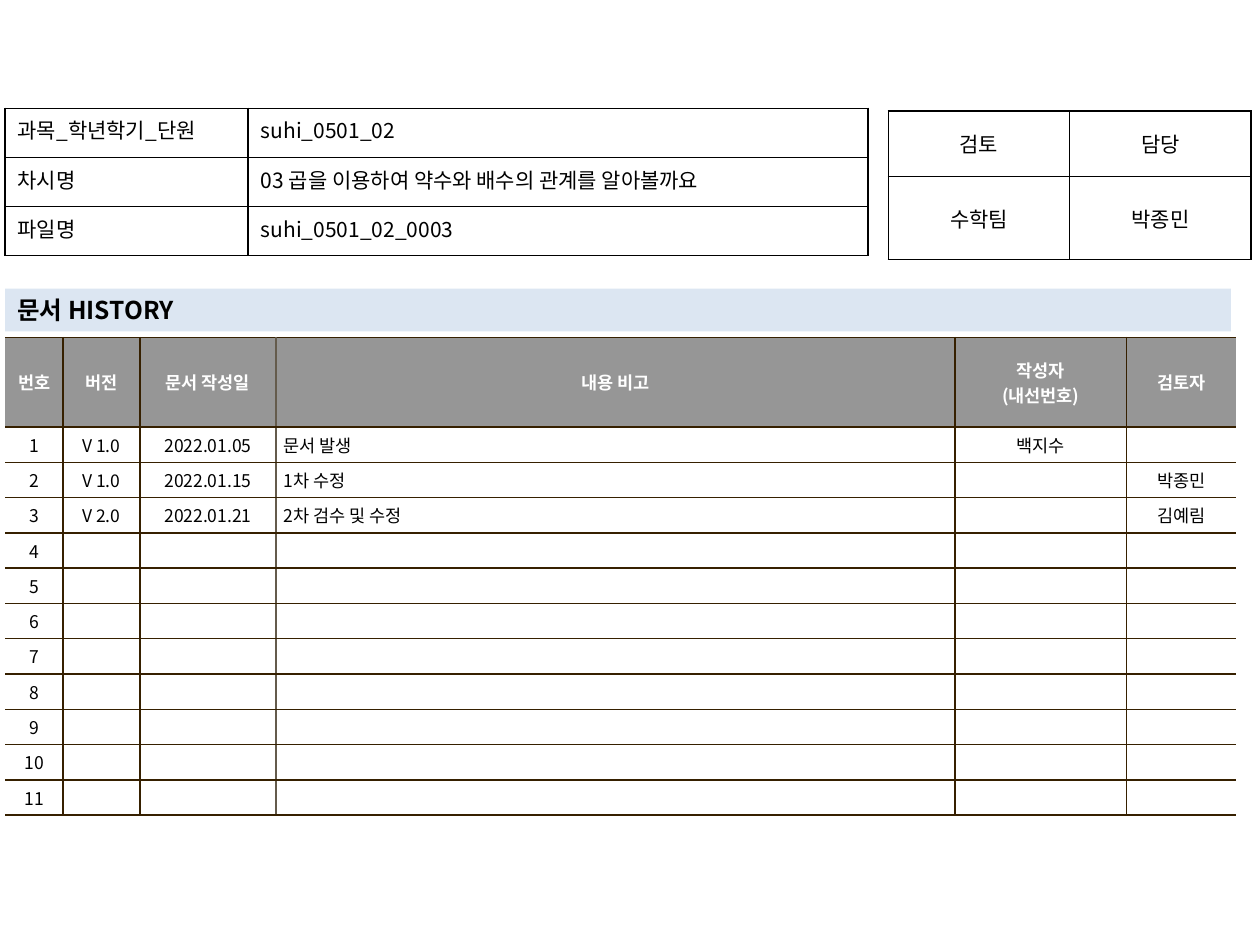
from dataclasses import dataclass
from typing import Optional

from lxml import etree
from pptx import Presentation
from pptx.dml.color import RGBColor
from pptx.enum import shapes, text
from pptx.oxml import ns
from pptx.util import Inches, Pt

LEFT, CENTER, JUSTIFY = text.PP_ALIGN.LEFT, text.PP_ALIGN.CENTER, text.PP_ALIGN.JUSTIFY
TOP, MIDDLE = text.MSO_ANCHOR.TOP, text.MSO_ANCHOR.MIDDLE


@dataclass(frozen=True)
class Theme:
    font: str = "Noto Sans CJK KR"
    black: str = "000000"
    white: str = "FFFFFF"
    header: str = "969696"
    rule: str = "362000"
    soft_rule: str = "645B4C"
    bar: str = "DCE6F2"
    history_size: int = 10
    form_size: int = 12
    title_size: int = 14
    rule_width: int = 1


THEME = Theme()


@dataclass(frozen=True)
class CellStyle:
    size: int
    color: str = THEME.black
    bold: bool = False
    fill: Optional[str] = None
    align: text.PP_ALIGN = LEFT
    anchor: text.MSO_ANCHOR = TOP
    margin_x: float = 0.1
    margin_y: float = 0.05
    hanging: float = 0


@dataclass(frozen=True)
class Borders:
    """Colours of the four sides; None leaves a side open."""
    left: Optional[str]
    right: Optional[str]
    top: str
    bottom: str


@dataclass(frozen=True)
class Grid:
    left: float
    top: float
    columns: list[float]
    rows: list[float]


def add_run(paragraph, words: str, size: int, color: str, bold: bool) -> None:
    run = paragraph.add_run()
    run.text = words
    run.font.size = Pt(size)
    run.font.bold = bold
    run.font.name = THEME.font
    run.font.color.rgb = RGBColor.from_string(color)
    east_asian = etree.SubElement(run.font._element, ns.qn("a:ea"))
    east_asian.set("typeface", THEME.font)


def draw_borders(cell, borders: Borders) -> None:
    properties = cell._tc.get_or_add_tcPr()
    sides = {"L": borders.left, "R": borders.right, "T": borders.top, "B": borders.bottom}
    for side, color in sides.items():
        line = etree.SubElement(properties, ns.qn(f"a:ln{side}"), w=str(Pt(THEME.rule_width)))
        if color is None:
            etree.SubElement(line, ns.qn("a:noFill"))
        else:
            solid = etree.SubElement(line, ns.qn("a:solidFill"))
            etree.SubElement(solid, ns.qn("a:srgbClr"), val=color)


def fill_cell(cell, words: str, style: CellStyle, borders: Borders) -> None:
    draw_borders(cell, borders)
    if style.fill:
        cell.fill.solid()
        cell.fill.fore_color.rgb = RGBColor.from_string(style.fill)
    else:
        cell.fill.background()
    cell.margin_left = cell.margin_right = Inches(style.margin_x)
    cell.margin_top = cell.margin_bottom = Inches(style.margin_y)
    cell.vertical_anchor = style.anchor
    frame = cell.text_frame
    for index, line in enumerate(words.split("\n")):
        paragraph = frame.add_paragraph() if index else frame.paragraphs[0]
        paragraph.alignment = style.align
        if style.hanging:
            indent = Inches(style.hanging)
            layout = paragraph._p.get_or_add_pPr()
            layout.set("marL", str(indent))
            layout.set("indent", str(-indent))
        if line:
            add_run(paragraph, line, style.size, style.color, style.bold)
        else:
            # Keeps an empty row as low as one with text
            etree.SubElement(paragraph._p, ns.qn("a:endParaRPr"), sz=str(style.size * 100))


def add_grid(slide, grid: Grid):
    table = slide.shapes.add_table(
        len(grid.rows), len(grid.columns), Inches(grid.left), Inches(grid.top),
        Inches(sum(grid.columns)), Inches(sum(grid.rows))).table
    table.first_row = table.horz_banding = False
    for column, width in zip(table.columns, grid.columns):
        column.width = Inches(width)
    for row, height in zip(table.rows, grid.rows):
        row.height = Inches(height)
    return table


def add_history(slide) -> None:
    header = ["번호", "버전", "문서 작성일", "내용 비고", "작성자\n(내선번호)", "검토자"]
    entries = [
        ["V 1.0", "2022.01.05", "문서 발생", "백지수", ""],
        ["V 1.0", "2022.01.15", "1차 수정", "", "박종민"],
        ["V 2.0", "2022.01.21", "2차 검수 및 수정", "", "김예림"],
    ]
    entry_rows = 11
    entries += [[""] * 5] * (entry_rows - len(entries))
    records = [header] + [[str(n), *entry] for n, entry in enumerate(entries, 1)]

    shared = dict(size=THEME.history_size, anchor=MIDDLE, margin_x=0.06, margin_y=0.04)
    heading = CellStyle(color=THEME.white, bold=True, fill=THEME.header, align=CENTER, **shared)
    centred = CellStyle(fill=THEME.white, align=CENTER, **shared)
    note = CellStyle(fill=THEME.white, hanging=0.19, **shared)
    reviewer = CellStyle(fill=THEME.white, align=CENTER, hanging=0.09, **shared)
    entry_styles = [centred, centred, centred, note, centred, reviewer]

    rule, soft = THEME.rule, THEME.soft_rule
    verticals = [None, rule, rule, soft, rule, rule, None]
    table = add_grid(slide, Grid(0.04, 2.68, [0.46, 0.61, 1.08, 5.39, 1.36, 0.87],
                                 [0.71] + [0.25] * entry_rows))
    for r, record in enumerate(records):
        for c, words in enumerate(record):
            style = entry_styles[c] if r else heading
            fill_cell(table.cell(r, c), words, style,
                      Borders(verticals[c], verticals[c + 1], rule, rule))


def add_form(slide, grid: Grid, records: list[list[str]], styles: list[CellStyle]) -> None:
    """Adds a fully ruled table with one style for each column."""
    table = add_grid(slide, grid)
    for r, record in enumerate(records):
        for c, (words, style) in enumerate(zip(record, styles)):
            fill_cell(table.cell(r, c), words, style, Borders(*[THEME.black] * 4))


def add_history_title(slide) -> None:
    bar = slide.shapes.add_shape(shapes.MSO_SHAPE.RECTANGLE, Inches(0.04), Inches(2.29),
                                 Inches(9.73), Inches(0.34))
    bar.shadow.inherit = False
    bar.fill.solid()
    bar.fill.fore_color.rgb = RGBColor.from_string(THEME.bar)
    bar.line.fill.background()
    frame = bar.text_frame
    frame.word_wrap = True
    frame.vertical_anchor = MIDDLE
    title = frame.paragraphs[0]
    title.alignment = LEFT
    add_run(title, "문서 HISTORY", THEME.title_size, THEME.black, True)


def main() -> None:
    deck = Presentation()
    deck.slide_width, deck.slide_height = Inches(10), Inches(7.5)
    slide = deck.slides.add_slide(deck.slide_layouts[6])

    add_history(slide)
    approval = CellStyle(THEME.form_size, align=CENTER, anchor=MIDDLE)
    add_form(slide, Grid(7.05, 0.88, [1.44] * 2, [0.52, 0.66]),
             [["검토", "담당"], ["수학팀", "박종민"]], [approval] * 2)
    add_history_title(slide)
    add_form(slide, Grid(0.04, 0.86, [1.93, 4.92], [0.39] * 3),
             [["과목_학년학기_단원", "suhi_0501_02"],
              ["차시명", "03 곱을 이용하여 약수와 배수의 관계를 알아볼까요"],
              ["파일명", "suhi_0501_02_0003"]],
             [CellStyle(THEME.form_size, align=JUSTIFY), CellStyle(THEME.form_size)])
    deck.save("out.pptx")


if __name__ == "__main__":
    main()
